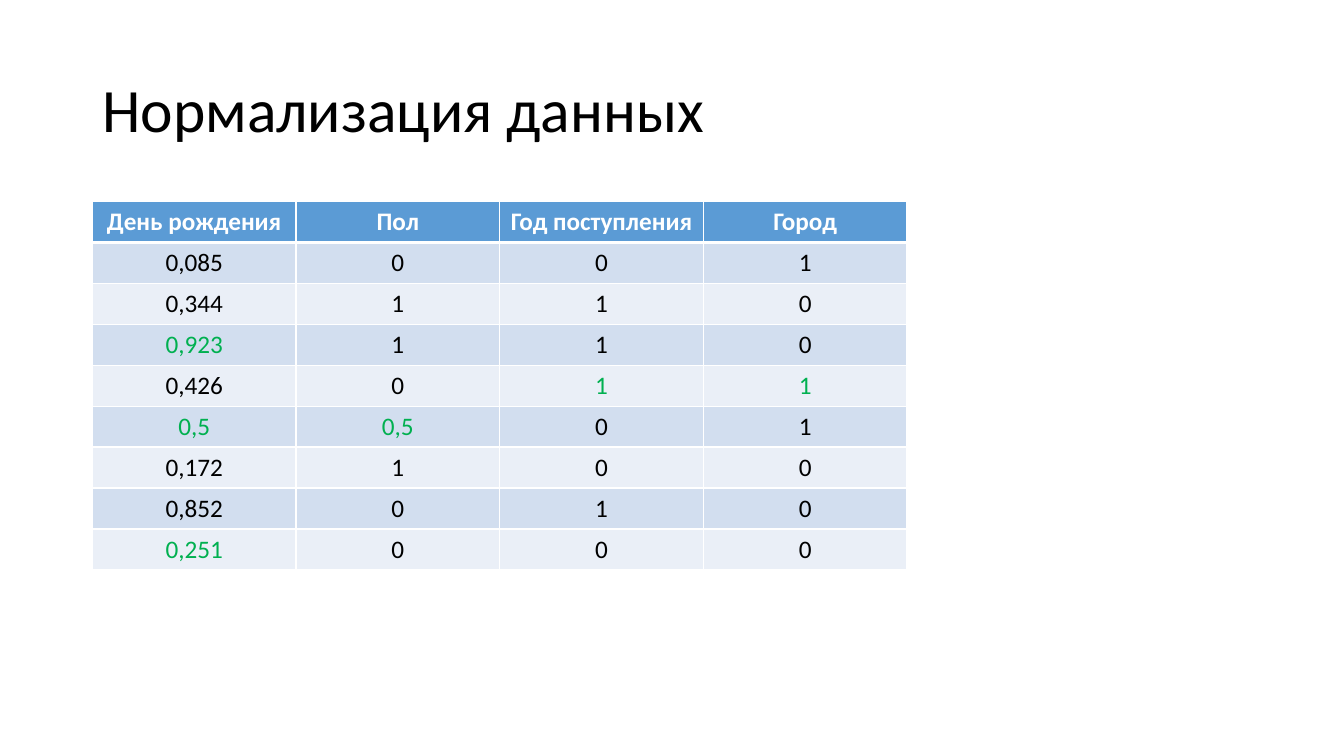
from lxml.etree import SubElement
from pptx import Presentation
from pptx.dml.color import RGBColor
from pptx.enum.text import MSO_ANCHOR as Anchor, PP_ALIGN as Align
from pptx.oxml.ns import qn
from pptx.util import Emu, Pt

WHITE = RGBColor(0xFF, 0xFF, 0xFF)
BLACK = RGBColor(0x00, 0x00, 0x00)
GREEN = RGBColor(0x00, 0xB0, 0x50)
HEADER_BLUE = RGBColor(0x5B, 0x9B, 0xD5)
BAND_DARK = RGBColor(0xD2, 0xDE, 0xEF)
BAND_LIGHT = RGBColor(0xEA, 0xEF, 0xF7)

HEADERS = ["День рождения", "Пол", "Год поступления", "Город"]
RECORDS = [
    ["0,085", "0", "0", "1"],
    ["0,344", "1", "1", "0"],
    ["0,923", "1", "1", "0"],
    ["0,426", "0", "1", "1"],
    ["0,5", "0,5", "0", "1"],
    ["0,172", "1", "0", "0"],
    ["0,852", "0", "1", "0"],
    ["0,251", "0", "0", "0"],
]
RESTORED = {(3, 0), (4, 2), (4, 3), (5, 0), (5, 1), (8, 0)}


def px(count):
    return Emu(count * 9525)


class SlideBuilder:
    font = "Calibri"
    title_size = 44
    cell_size = 18

    def __init__(self, page):
        self.page = page

    def style(self, para, size, color, bold=False):
        for span in para.runs:
            span.font.name = self.font
            span.font.size = Pt(size)
            span.font.bold = bold
            span.font.color.rgb = color

    def title(self, text, left, top, width, height):
        box = self.page.shapes.add_textbox(px(left), px(top), px(width), px(height))
        frame = box.text_frame
        frame.word_wrap = True
        frame.vertical_anchor = Anchor.MIDDLE
        frame.text = text
        para = frame.paragraphs[0]
        para.line_spacing = 0.9
        self.style(para, self.title_size, BLACK)

    def borders(self, cell, top, bottom):
        properties = cell._tc.get_or_add_tcPr()
        for side, points in (("L", 1), ("R", 1), ("T", top), ("B", bottom)):
            line = SubElement(properties, qn(f"a:ln{side}"), w=str(Pt(points)))
            fill = SubElement(line, qn("a:solidFill"))
            SubElement(fill, qn("a:srgbClr"), val=str(WHITE))

    def cell(self, cell, text, fill, color, bold=False, top=1, bottom=1):
        self.borders(cell, top, bottom)
        cell.fill.solid()
        cell.fill.fore_color.rgb = fill
        cell.vertical_anchor = Anchor.MIDDLE
        cell.margin_left = cell.margin_right = px(6)
        cell.text_frame.text = text
        para = cell.text_frame.paragraphs[0]
        para.alignment = Align.CENTER
        self.style(para, self.cell_size, color, bold)

    def table(self, headers, records, highlighted, left, top, column_width, row_height):
        rows, columns = len(records) + 1, len(headers)
        table = self.page.shapes.add_table(
            rows, columns, px(left), px(top),
            px(column_width * columns), px(row_height * rows),
        ).table
        for column, text in enumerate(headers):
            self.cell(table.cell(0, column), text, HEADER_BLUE, WHITE, bold=True, bottom=3)
        for row, record in enumerate(records, start=1):
            fill = BAND_DARK if row % 2 else BAND_LIGHT
            for column, text in enumerate(record):
                color = GREEN if (row, column) in highlighted else BLACK
                self.cell(table.cell(row, column), text, fill, color, top=3 if row == 1 else 1)


def main():
    deck = Presentation()
    deck.slide_width, deck.slide_height = px(1280), px(720)
    builder = SlideBuilder(deck.slides.add_slide(deck.slide_layouts[6]))
    builder.title("Нормализация данных", 88, 38, 1104, 139)
    builder.table(HEADERS, RECORDS, RESTORED, 88, 192, 194, 39)
    deck.save("out.pptx")


if __name__ == "__main__":
    main()
